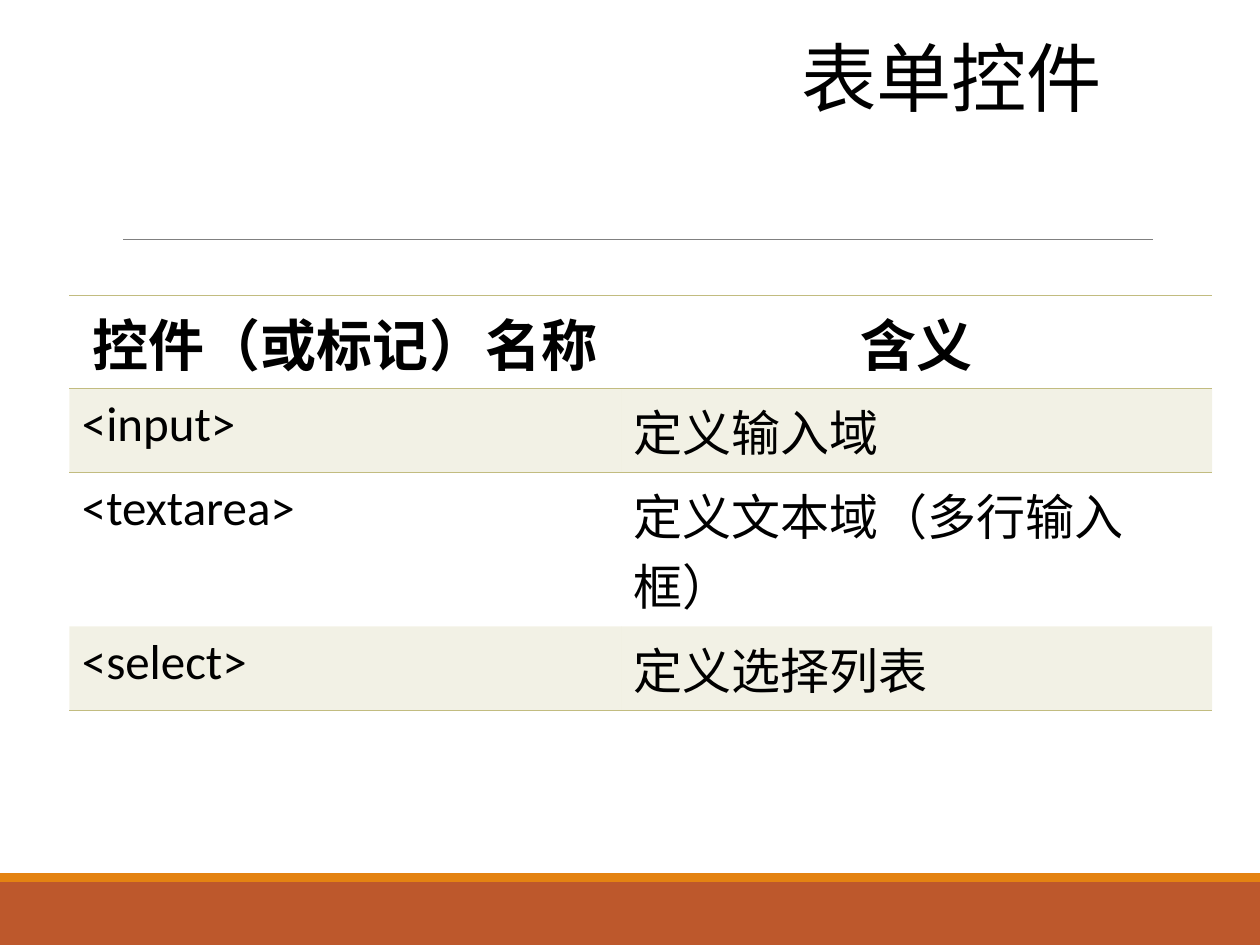
import pptx
import pptx.util
import pptx.dml.color
import pptx.enum.shapes
import pptx.enum.text
import pptx.oxml
import pptx.oxml.ns
from lxml import etree

Inches, Pt = pptx.util.Inches, pptx.util.Pt
RGBColor = pptx.dml.color.RGBColor
ALIGN = pptx.enum.text.PP_ALIGN
ANCHOR = pptx.enum.text.MSO_ANCHOR
qn = pptx.oxml.ns.qn

BLACK = RGBColor(0x00, 0x00, 0x00)
GREY = RGBColor(0x80, 0x80, 0x80)
RUST = RGBColor(0xBD, 0x58, 0x2C)
ORANGE = RGBColor(0xE4, 0x83, 0x12)
OLIVE = RGBColor(0xC2, 0xBC, 0x80)

TITLE = "表单控件"
ROWS = [
    ("控件（或标记）名称", "含义"),
    ("<input>", "定义输入域"),
    ("<textarea>", "定义文本域（多行输入框）"),
    ("<select>", "定义选择列表"),
]
COLUMN_WIDTHS = (4.38, 4.69)
ROW_HEIGHTS = (0.63, 0.57, 1.03, 0.57)
TABLE_LEFT, TABLE_TOP = 0.55, 2.34
BANDS = [(7, 0.5, RUST), (6.93, 0.07, ORANGE)]
RULE_LEFT, RULE_RIGHT, RULE_TOP = 0.98, 9.15, 1.9
PLAIN_TABLE = "{2D5ABB26-0587-4C30-8999-92F81FD0307C}"
EAST_ASIAN = "Noto Sans CJK SC"

TITLE_FONT = {"name": "Calibri", "size": Pt(43), "bold": False}
HEADER_FONT = {"name": EAST_ASIAN, "size": Pt(32), "bold": True}
BODY_FONT = {"name": "Calibri", "size": Pt(28), "bold": False}


def write(frame, text, font, align):
    para = frame.paragraphs[0]
    para.alignment = align
    span = para.add_run()
    span.text = text
    span.font.color.rgb = BLACK
    for key, value in font.items():
        setattr(span.font, key, value)
    etree.SubElement(span.font._element, qn("a:ea"), typeface=EAST_ASIAN)
    return para


def tint(cell, color, percent):
    cell.fill.solid()
    cell.fill.fore_color.rgb = color
    color_node = cell._tc.tcPr.find(".//" + qn("a:srgbClr"))
    etree.SubElement(color_node, qn("a:alpha"), val=str(percent * 1000))


def add_border(cell, side, color, width):
    line = etree.Element(qn("a:" + side), w=str(Pt(width)))
    fill = etree.SubElement(line, qn("a:solidFill"))
    etree.SubElement(fill, qn("a:srgbClr"), val=str(color))
    properties = cell._tc.get_or_add_tcPr()
    properties.insert(len(properties.findall(qn("a:lnT"))), line)


def add_frame(page):
    for top, height, color in BANDS:
        band = page.shapes.add_shape(
            pptx.enum.shapes.MSO_SHAPE.RECTANGLE,
            0, Inches(top), Inches(10), Inches(height))
        band.shadow.inherit = False
        band.fill.solid()
        band.fill.fore_color.rgb = color
        band.line.fill.background()
    rule = page.shapes.add_connector(
        pptx.enum.shapes.MSO_CONNECTOR.STRAIGHT,
        Inches(RULE_LEFT), Inches(RULE_TOP), Inches(RULE_RIGHT), Inches(RULE_TOP))
    rule.line.color.rgb = GREY
    rule.line.width = Pt(0.5)
    etree.SubElement(rule._element.spPr, qn("a:effectLst"))


def add_title(page):
    title = page.shapes.title
    place = {"left": 6.26, "top": 0.3, "width": 3.24, "height": 0.72}
    for key, value in place.items():
        setattr(title, key, Inches(value))
    title.text_frame.word_wrap = True
    title.text_frame.auto_size = pptx.enum.text.MSO_AUTO_SIZE.NONE
    title.text_frame.vertical_anchor = ANCHOR.MIDDLE
    write(title.text_frame, TITLE, TITLE_FONT, ALIGN.LEFT).line_spacing = 0.85


def add_controls(page):
    frame = page.shapes.add_table(
        len(ROWS), len(COLUMN_WIDTHS), Inches(TABLE_LEFT), Inches(TABLE_TOP),
        Inches(sum(COLUMN_WIDTHS)), Inches(sum(ROW_HEIGHTS)))
    table = frame.table
    table._tbl.tblPr.find(qn("a:tableStyleId")).text = PLAIN_TABLE
    for column, width in zip(table.columns, COLUMN_WIDTHS):
        column.width = Inches(width)
    for index, texts in enumerate(ROWS):
        table.rows[index].height = Inches(ROW_HEIGHTS[index])
        header = index == 0
        for place, text in enumerate(texts):
            cell = table.cell(index, place)
            write(cell.text_frame, text, HEADER_FONT if header else BODY_FONT,
                  ALIGN.CENTER if header else ALIGN.LEFT)
            if index % 2:
                tint(cell, OLIVE, 20)
            else:
                cell.fill.background()
            if index < 2:
                add_border(cell, "lnT", OLIVE, 0.45)
            if index in (0, len(ROWS) - 1):
                add_border(cell, "lnB", OLIVE, 0.45)


def main():
    deck = pptx.Presentation()
    deck.slide_width, deck.slide_height = Inches(10), Inches(7.5)
    page = deck.slides.add_slide(deck.slide_layouts[5])
    add_frame(page)
    add_title(page)
    add_controls(page)
    deck.save("out.pptx")


if __name__ == "__main__":
    main()
